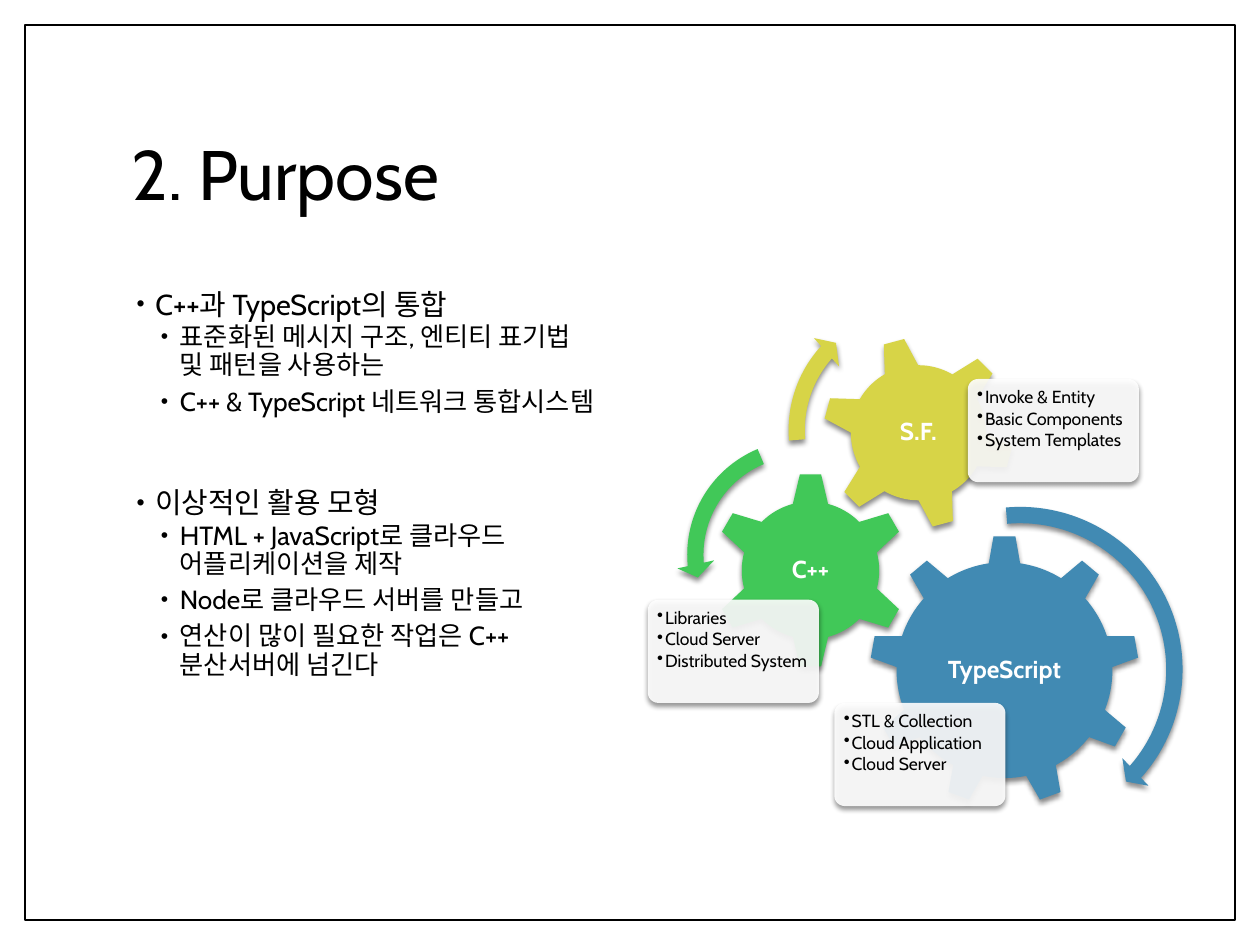
from dataclasses import dataclass
from lxml.etree import SubElement
from pptx import Presentation
from pptx.dml.color import RGBColor as Rgb
from pptx.enum.shapes import MSO_SHAPE as Preset
from pptx.enum.text import MSO_ANCHOR as Anchor, MSO_AUTO_SIZE as AutoSize, PP_ALIGN as Align
from pptx.oxml.ns import qn
from pptx.util import Cm, Pt


@dataclass(frozen=True)
class Theme:
    font: str = "Cabin"
    ink: str = "000000"
    paper: str = "FFFFFF"
    blue: str = "418AB3"
    green: str = "41C858"
    yellow: str = "D7D447"
    title: float = 40
    topic: float = 16.5
    point: float = 15
    label: float = 14
    card: float = 10
    leading: float = 0.9


THEME = Theme()

TOPICS = [
    ("C++과 TypeScript의 통합", 10, [
        "표준화된 메시지 구조, 엔티티 표기법 및 패턴을 사용하는",
        "C++ & TypeScript 네트워크 통합시스템",
    ]),
    ("이상적인 활용 모형", 38, [
        "HTML + JavaScript로 클라우드 어플리케이션을 제작",
        "Node로 클라우드 서버를 만들고",
        "연산이 많이 필요한 작업은 C++ 분산서버에 넘긴다",
    ]),
]

GEARS = [
    ("TypeScript", THEME.blue, Preset.GEAR_9, (4.47, 4.85, 5.44), 0, (3.76, 8.23),
     ["STL & Collection", "Cloud Application", "Cloud Server"]),
    ("C++", THEME.green, Preset.GEAR_6, (1.3, 3.58, 3.96), 0, (0, 6.15),
     ["Libraries", "Cloud Server", "Distributed System"]),
    ("S.F.", THEME.yellow, Preset.GEAR_6, (3.51, 0.84, 3.89), -15, (6.45, 1.7),
     ["Invoke & Entity", "Basic Components", "System Templates"]),
]

ARROWS = [
    (THEME.blue, Preset.CIRCULAR_ARROW, (4.01, 4.06, 6.99), (4.7, 299, 2499.2, 15898.4, 5.5)),
    (THEME.green, Preset.LEFT_CIRCULAR_ARROW, (0.58, 2.72, 5.05), (6.5, 430, 10489.1, 14837.8, 7.5)),
    (THEME.yellow, Preset.CIRCULAR_ARROW, (2.62, 0, 5.46), (6, 394.1, 13313.8, 10508.2, 7)),
]


def place(part, left, top, width, height):
    part.left, part.top, part.width, part.height = Cm(left), Cm(top), Cm(width), Cm(height)


def write(paragraph, text, size, color=THEME.ink, bold=False, before=0, after=0):
    paragraph.line_spacing = THEME.leading
    paragraph.space_before, paragraph.space_after = Pt(before), Pt(after)
    run = paragraph.add_run()
    run.text = text
    run.font.name, run.font.size, run.font.bold = THEME.font, Pt(size), bold
    run.font.color.rgb = Rgb.from_string(color)


def add_bullet(paragraph, margin, hang, percent=100):
    properties = paragraph._p.get_or_add_pPr()
    properties.set("marL", str(Cm(margin)))
    properties.set("indent", str(-Cm(hang)))
    SubElement(SubElement(properties, qn("a:buClr")), qn("a:srgbClr"), val=THEME.ink)
    SubElement(properties, qn("a:buSzPct"), val=str(percent * 1000))
    SubElement(properties, qn("a:buChar"), char="•")


def paragraphs(frame):
    yield frame.paragraphs[0]
    while True:
        yield frame.add_paragraph()


def set_insets(frame, inset):
    frame.margin_left = frame.margin_right = frame.margin_top = frame.margin_bottom = Cm(inset)


def add_raised(shapes, preset, box, color, opacity=100):
    raised = shapes.add_shape(preset, *map(Cm, box))
    raised.fill.solid()
    raised.fill.fore_color.rgb = Rgb.from_string(color)
    raised.line.fill.background()
    raised.shadow.inherit = False
    properties = raised._element.spPr
    if opacity < 100:
        tint = properties.find(qn("a:solidFill")).find(qn("a:srgbClr"))
        SubElement(tint, qn("a:alpha"), val=str(opacity * 1000))
    shadow = SubElement(properties.find(qn("a:effectLst")), qn("a:outerShdw"), blurRad=str(Pt(3)),
                        dist=str(Pt(2)), dir="5400000", rotWithShape="0")
    shade = SubElement(shadow, qn("a:srgbClr"), val=THEME.ink)
    SubElement(shade, qn("a:alpha"), val="45000")
    return raised


def draw_frame(slide, box):
    border = slide.shapes.add_shape(Preset.RECTANGLE, *map(Cm, box))
    border.fill.background()
    border.line.color.rgb = Rgb.from_string(THEME.ink)
    border.line.width = Pt(1)
    border.shadow.inherit = False


def fill_title(slide, box):
    title = slide.shapes.title
    place(title, *box)
    title.text_frame.auto_size = AutoSize.NONE
    title.text_frame.vertical_anchor = Anchor.MIDDLE
    heading = title.text_frame.paragraphs[0]
    heading.alignment = Align.LEFT
    write(heading, "2. Purpose", THEME.title)


def fill_topics(slide, box):
    body = slide.placeholders[1]
    place(body, *box)
    body.text_frame.auto_size = AutoSize.NONE
    lines = paragraphs(body.text_frame)
    for topic, gap, points in TOPICS:
        line = next(lines)
        write(line, topic, THEME.topic, before=gap)
        add_bullet(line, 0.48, 0.38, 80)
        for point in points:
            line = next(lines)
            line.level = 1
            write(line, point, THEME.point, before=1.5, after=3)
            add_bullet(line, 0.97, 0.38, 80)


def draw_gear(shapes, box, name, color, preset, turn):
    gear = add_raised(shapes, preset, box, color)
    gear.rotation = turn
    label = shapes.add_textbox(*map(Cm, box)).text_frame
    label.word_wrap = True
    label.vertical_anchor = Anchor.MIDDLE
    set_insets(label, 0.05)
    label.paragraphs[0].alignment = Align.CENTER
    write(label.paragraphs[0], name, THEME.label, THEME.paper, bold=True)


def draw_card(shapes, box, items):
    card = add_raised(shapes, Preset.ROUNDED_RECTANGLE, box, THEME.paper, opacity=90)
    card.adjustments[0] = 0.1
    card.text_frame.word_wrap = True
    card.text_frame.vertical_anchor = Anchor.TOP
    set_insets(card.text_frame, 0.13)
    for item, line in zip(items, paragraphs(card.text_frame)):
        line.alignment = Align.LEFT
        write(line, item, THEME.card, after=1.5)
        add_bullet(line, 0.16, 0.16)


def draw_gearing(slide, left, top):
    shapes = slide.shapes.add_group_shape().shapes
    for name, color, preset, (x, y, size), turn, (card_x, card_y), items in GEARS:
        draw_gear(shapes, (left + x, top + y, size, size), name, color, preset, turn)
        draw_card(shapes, (left + card_x, top + card_y, 3.45, 2.08), items)
    for color, preset, (x, y, size), bends in ARROWS:
        arrow = add_raised(shapes, preset, (left + x, top + y, size, size), color)
        for index, bend in enumerate(bends):
            arrow.adjustments[index] = bend / 100


def main():
    deck = Presentation()
    deck.slide_width, deck.slide_height = Cm(25.4), Cm(19.05)
    slide = deck.slides.add_slide(deck.slide_layouts[1])
    draw_frame(slide, (0.5, 0.5, 24.4, 18.05))
    fill_title(slide, (2.4, 1.7, 20.57, 3.76))
    fill_topics(slide, (2.4, 5.72, 9.9, 11.18))
    draw_gearing(slide, 13.06, 5.94)
    deck.save("out.pptx")


if __name__ == "__main__":
    main()
